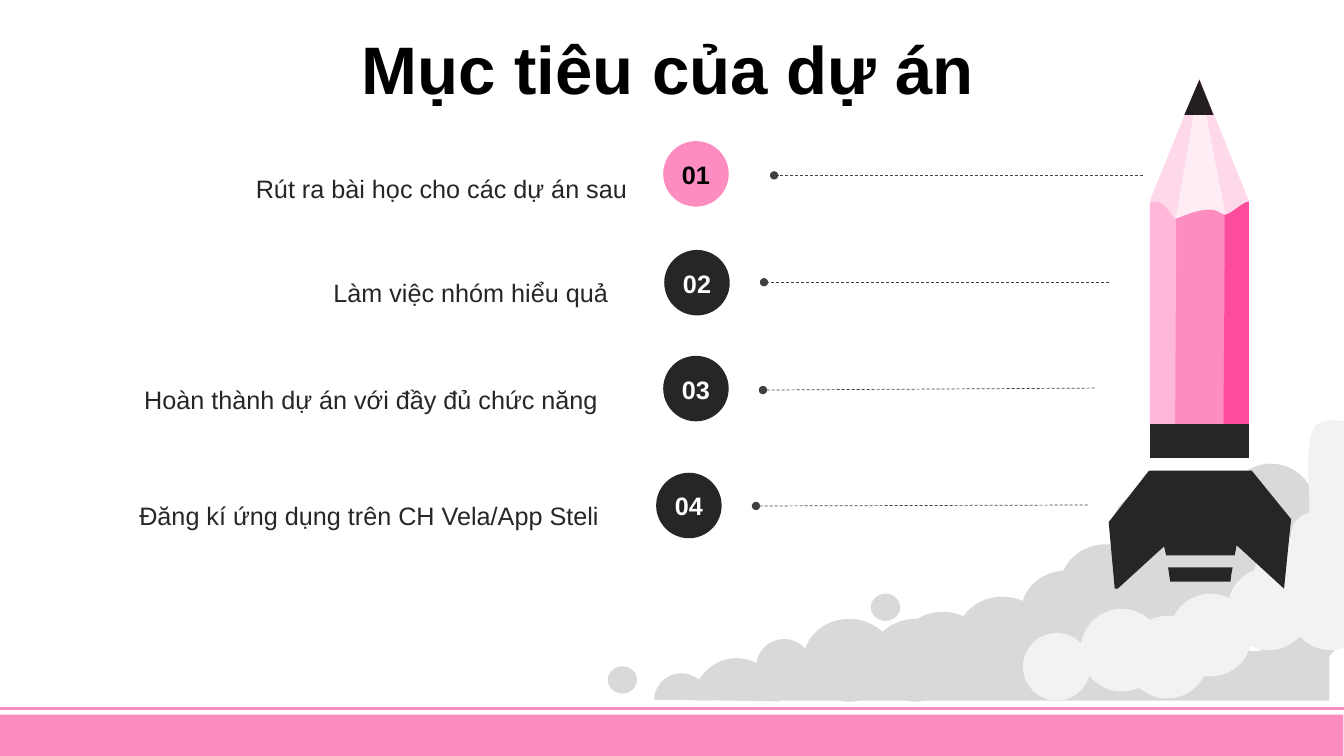
from dataclasses import dataclass

from lxml import etree
from pptx import Presentation
from pptx.dml.color import RGBColor
from pptx.enum.dml import MSO_LINE
from pptx.enum.shapes import MSO_CONNECTOR, MSO_SHAPE
from pptx.enum.text import MSO_AUTO_SIZE, PP_ALIGN
from pptx.oxml.ns import qn
from pptx.util import Cm, Pt

OVAL, RECT, CHORD = MSO_SHAPE.OVAL, MSO_SHAPE.RECTANGLE, MSO_SHAPE.CHORD
STRAIGHT, DASH = MSO_CONNECTOR.STRAIGHT, MSO_LINE.DASH
LEFT, MID, RIGHT = PP_ALIGN.LEFT, PP_ALIGN.CENTER, PP_ALIGN.RIGHT
FIT = MSO_AUTO_SIZE.SHAPE_TO_FIT_TEXT

PINK = RGBColor(0xFD, 0x8C, 0xC1)
PALE = RGBColor(0xFE, 0xB7, 0xD8)
HOT = RGBColor(0xFD, 0x4B, 0x9E)
DARK = RGBColor(0x26, 0x26, 0x26)
LEAD = RGBColor(0x23, 0x1F, 0x20)
SLATE = RGBColor(0x40, 0x40, 0x40)
SMOKE = RGBColor(0xD9, 0xD9, 0xD9)
MIST = RGBColor(0xF2, 0xF2, 0xF2)
WHITE = RGBColor(0xFF, 0xFF, 0xFF)
BLACK = RGBColor(0x00, 0x00, 0x00)

FONT = "Arial"


@dataclass
class Goal:
    text: str
    box: tuple    # left, top, width of the label
    badge: tuple  # left, top of the disc
    lead: tuple   # x1, y1, x2, y2 of the dashed line
    fill: RGBColor = DARK
    ink: RGBColor = WHITE


@dataclass
class Part:
    loops: list   # contours; (x, y) is a line, six numbers are a curve
    fill: RGBColor
    alpha: int = 100


@dataclass
class Cloud:
    fill: RGBColor
    puffs: list   # (width, height, [(left, top), ...])


GOALS = [
    Goal("Rút ra bài học cho các dự án sau", (2.4, 1.37, 3.92), (6.58, 1.4),
         (11.34, 1.74, 7.68, 1.74), PINK, BLACK),
    Goal("Làm việc nhóm hiểu quả", (3.18, 2.4, 2.95), (6.59, 2.48),
         (11, 2.8, 7.58, 2.8)),
    Goal("Hoàn thành dự án với đầy đủ chức năng", (1.29, 3.46, 4.74),
         (6.58, 3.53), (10.86, 3.85, 7.57, 3.87)),
    Goal("Đăng kí ứng dụng trên CH Vela/App Steli", (1.14, 4.61, 4.9),
         (6.51, 4.69), (10.79, 5.01, 7.5, 5.02)),
]

BACK = Cloud(SMOKE, [
    (0.86, 0.82, [(13.29, 4.73), (12.79, 4.87), (12.18, 4.6), (12.18, 5.15),
                  (11.73, 5.09)]),
    (0.91, 0.82, [(10.52, 5.4), (10.13, 5.66), (11.25, 5.39), (11.77, 5.52),
                  (9.49, 5.92), (8.9, 6.07), (12.42, 5.25), (12.42, 5.8),
                  (10.82, 5.66), (8.63, 6.14), (7.97, 6.14)]),
    (0.49, 0.47, [(11.06, 4.92)]),
    (0.29, 0.27, [(8.64, 5.89), (6.03, 6.61)]),
    (0.56, 0.57, [(7.5, 6.34)]),
])
FRONT = Cloud(MIST, [
    (0.82, 0.82, [(12.44, 5.32), (12.18, 5.63), (13.18, 5.36), (11.6, 5.89),
                  (11.17, 6.11), (12.79, 5.63), (10.72, 6.04)]),
    (0.67, 0.67, [(10.15, 6.28)]),
    (0.46, 0.46, [(13.15, 5.1), (12.81, 5.08)]),
])
PLUME = Part([[
    (13.07, 4.21), (13, 4.27, 12.99, 4.4, 12.98, 4.55),
    (12.97, 4.7, 13, 4.9, 12.99, 5.13), (12.98, 5.36, 12.92, 5.79, 12.94, 5.93),
    (12.96, 6.08, 13.03, 5.99, 13.12, 6.01), (13.21, 6.02, 13.41, 6.06, 13.49, 6.02),
    (13.57, 5.99, 13.59, 5.82, 13.59, 5.78), (13.58, 5.75, 13.48, 5.94, 13.46, 5.81),
    (13.43, 5.67, 13.41, 5.22, 13.42, 4.99), (13.43, 4.75, 13.52, 4.53, 13.52, 4.4),
    (13.52, 4.27, 13.48, 4.22, 13.4, 4.2), (13.33, 4.17, 13.14, 4.15, 13.07, 4.21),
]], MIST)

ROCKET = [
    # Nozzle and fins
    Part([[(11.59, 5.63), (12.23, 5.63), (12.22, 5.68, 12.21, 5.73, 12.21, 5.77),
           (11.61, 5.77)],
          [(11.41, 4.67), (12.42, 4.67), (12.81, 5.15), (12.74, 5.84),
           (12.27, 5.41), (12.25, 5.51), (11.57, 5.51),
           (11.56, 5.48, 11.56, 5.45, 11.55, 5.42), (11.09, 5.84),
           (11.06, 5.84), (11, 5.18), (11.4, 4.67), (11.41, 4.68)]], DARK),
    # Sharpened wood
    Part([[(11.41, 1.99), (11.9, 0.78), (12.39, 1.99),
           (12.07, 2.71, 11.74, 2.68, 11.41, 1.99)]], PALE, 52),
    Part([[(11.65, 2.26), (11.9, 0.8), (12.18, 2.23),
           (12, 2.37, 11.85, 2.35, 11.65, 2.26)]], WHITE, 54),
    # Body: middle, left and right faces
    Part([[(11.61, 4.31), (11.6, 3.67, 11.61, 3.12, 11.61, 2.19),
           (11.79, 2.13, 11.87, 2.08, 12.01, 2.08),
           (12.09, 2.08, 12.12, 2.14, 12.2, 2.14),
           (12.2, 3.07, 12.2, 3.65, 12.2, 4.31)]], PINK),
    Part([[(11.41, 4.31), (11.41, 3.51, 11.41, 3.06, 11.41, 2.01),
           (11.54, 1.95, 11.61, 2.13, 11.67, 2.19),
           (11.67, 2.68, 11.66, 3.96, 11.66, 4.32)]], PALE),
    Part([[(12.14, 4.31), (12.14, 3.57, 12.15, 3.17, 12.15, 2.13),
           (12.21, 2.13, 12.33, 2, 12.39, 2),
           (12.39, 2.55, 12.39, 3.9, 12.39, 4.31)]], HOT),
    # Band and lead
    Part([[(12.39, 4.54), (11.41, 4.54), (11.41, 4.21), (12.39, 4.21)]], DARK),
    Part([[(11.75, 1.14), (11.9, 0.79), (12.04, 1.14)]], LEAD),
]


def cm(inch: float) -> Cm:
    return Cm(inch * 2.54)


def paint(shape, fill: RGBColor) -> None:
    shape.shadow.inherit = False
    shape.fill.solid()
    shape.fill.fore_color.rgb = fill
    shape.line.fill.background()


def block(slide, kind, box: tuple, fill: RGBColor):
    shape = slide.shapes.add_shape(kind, *map(cm, box))
    paint(shape, fill)
    return shape


def puff(slide, cloud: Cloud) -> None:
    for wide, high, spots in cloud.puffs:
        for spot in spots:
            block(slide, OVAL, (*spot, wide, high), cloud.fill)


def bend(shape, loops: list) -> None:
    """Join the three points of each curve into one Bezier segment."""
    legs = iter(list(shape._element.iter(qn("a:lnTo"))))
    for seg in (seg for loop in loops for seg in loop[1:]):
        leg = next(legs)
        if len(seg) == 6:
            curve = etree.Element(qn("a:cubicBezTo"))
            leg.addprevious(curve)
            for old in (leg, next(legs), next(legs)):
                curve.append(old[0])
                old.getparent().remove(old)


def carve(slide, part: Part) -> None:
    pen = None
    for loop in part.loops:
        start, *pts = [(cm(seg[i]), cm(seg[i + 1]))
                       for seg in loop for i in range(0, len(seg), 2)]
        if pen:
            pen.move_to(*start)
        else:
            pen = slide.shapes.build_freeform(*start)
        pen.add_line_segments(pts, close=True)
    shape = pen.convert_to_shape()
    bend(shape, part.loops)
    paint(shape, part.fill)
    if part.alpha < 100:
        tint = shape.fill._xPr.find(qn("a:solidFill"))[0]
        etree.SubElement(tint, qn("a:alpha")).set("val", str(part.alpha * 1000))


def rule(slide, ends: tuple, ink: RGBColor, size: float):
    line = slide.shapes.add_connector(STRAIGHT, *map(cm, ends))
    line.line.color.rgb = ink
    line.line.width = Pt(size)
    etree.SubElement(line._element.spPr, qn("a:effectLst"))
    return line


def write(slide, box: tuple, text: str, size: int, ink: RGBColor, align=LEFT,
          bold: bool = False, wrap: bool = False, space: float = 1.0) -> None:
    frame = slide.shapes.add_textbox(*map(cm, box)).text_frame
    frame.word_wrap, frame.auto_size = wrap, FIT
    para = frame.paragraphs[0]
    para.alignment, para.line_spacing = align, space
    run = para.add_run()
    run.text = text
    font = run.font
    font.name, font.size, font.bold = FONT, Pt(size), bold
    font.color.rgb = ink


def show(slide, num: int, goal: Goal) -> None:
    line = rule(slide, goal.lead, SLATE, 0.5)
    line.line.dash_style = DASH
    tail = etree.Element(qn("a:tailEnd"), type="oval")
    line.line._get_or_add_ln().append(tail)
    x, y = goal.badge
    block(slide, OVAL, (x, y, 0.65, 0.65), goal.fill)
    write(slide, (x + 0.08, y + 0.13, 0.49, 0.4), f"{num:02}", 18, goal.ink,
          MID, bold=True, wrap=True)
    write(slide, (*goal.box, 0.61), goal.text, 18, DARK, RIGHT, space=2.0)


def main() -> None:
    deck = Presentation()
    deck.slide_width, deck.slide_height = Cm(33.87), Cm(19.05)
    slide = deck.slides.add_slide(deck.slide_layouts[6])
    # Footer
    rule(slide, (0, 7.03, 13.33, 7.03), PINK, 2)
    block(slide, RECT, (0, 7.09, 13.33, 0.41), PINK)
    # Smoke
    puff(slide, BACK)
    for box in ((11.48, 5.48, 3.36, 0.78), (7.68, 6.46, 5.51, 0.49)):
        block(slide, RECT, box, SMOKE)
    for box in ((6.88, 6.53, 0.86, 0.86), (6.49, 6.68, 0.54, 0.54)):
        dome = block(slide, CHORD, box, SMOKE)
        dome.adjustments[0], dome.adjustments[1] = 109.05, 215.85
    carve(slide, PLUME)
    puff(slide, FRONT)
    # Pencil rocket
    for part in ROCKET:
        carve(slide, part)
    # Title and goals
    write(slide, (3.49, 0.22, 6.35, 0.91), "Mục tiêu của dự án", 48, BLACK, bold=True)
    for num, goal in enumerate(GOALS, 1):
        show(slide, num, goal)
    deck.save("out.pptx")


if __name__ == "__main__":
    main()
